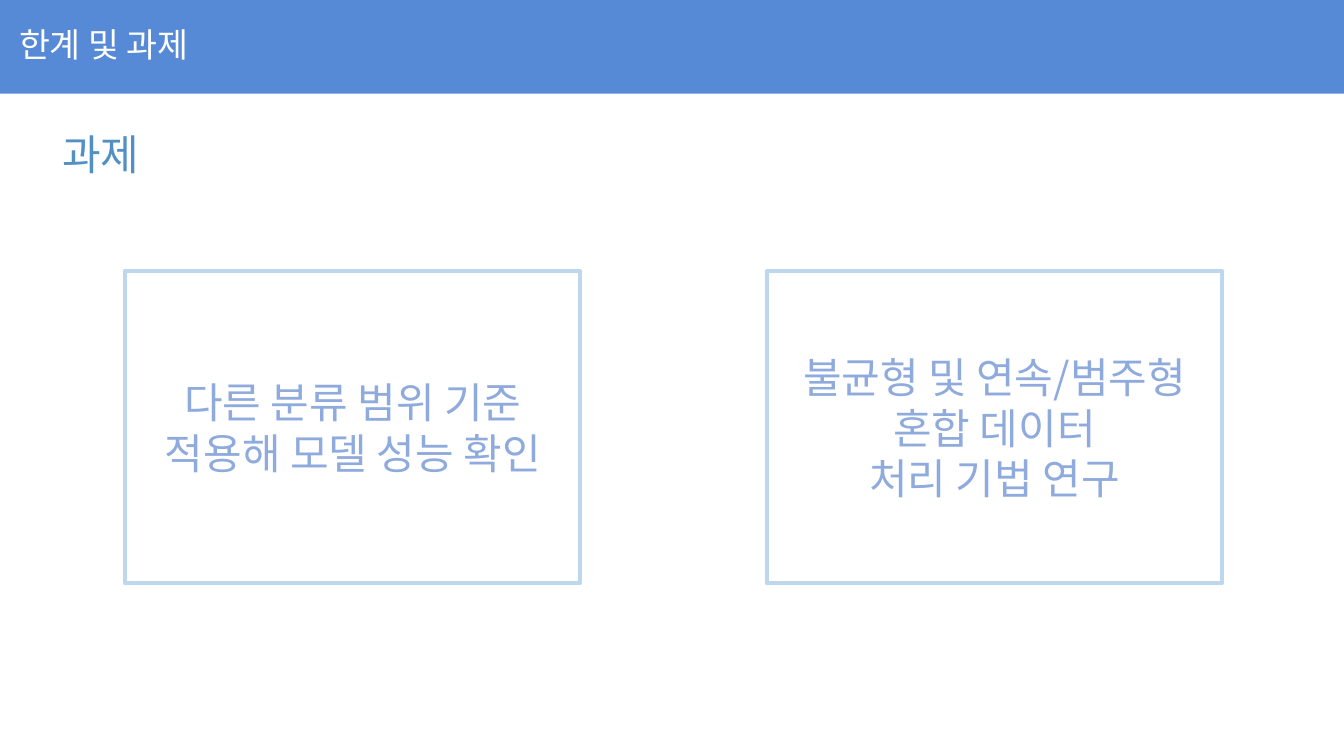
from lxml import etree
from pptx import Presentation
from pptx.dml.color import RGBColor
from pptx.enum import shapes, text
from pptx.oxml.ns import qn
from pptx.util import Cm, Pt

FONT = "Noto Sans CJK KR"
WHITE = RGBColor(0xFF, 0xFF, 0xFF)
HEADER_BLUE = RGBColor(0x57, 0x8A, 0xD6)
HEADING_BLUE = RGBColor(0x51, 0x90, 0xC5)
FRAME_BLUE = RGBColor(0xBD, 0xD7, 0xEE)
TASK_BLUE = RGBColor(0x8F, 0xAA, 0xDC)

FRAME_TOP, FRAME_WIDTH, FRAME_HEIGHT = 6.83, 11.46, 7.87

# Frame left; text left, top, width, height; paragraphs
TASKS = [
    (3.15, (3.51, 9.37, 10.77, 2.82),
     ["다른 분류 범위 기준 적용해 모델 성능 확인"]),
    (19.33, (19.63, 8.74, 10.87, 4.11),
     ["불균형 및 연속/범주형", "혼합 데이터", "처리 기법 연구"]),
]


def add_box(slide, left, top, width, height, fill=None, outline=None):
    box = slide.shapes.add_shape(
        shapes.MSO_SHAPE.RECTANGLE, Cm(left), Cm(top), Cm(width), Cm(height))
    box.shadow.inherit = False
    if fill is None:
        box.fill.background()
    else:
        box.fill.solid()
        box.fill.fore_color.rgb = fill
    if outline is None:
        box.line.fill.background()
    else:
        box.line.color.rgb = outline
        box.line.width = Pt(3)


def add_label(slide, place, lines, size, color, align=text.PP_ALIGN.LEFT):
    label = slide.shapes.add_textbox(*(Cm(length) for length in place))
    frame = label.text_frame
    frame.word_wrap = True
    frame.auto_size = text.MSO_AUTO_SIZE.SHAPE_TO_FIT_TEXT
    for index, line in enumerate(lines):
        paragraph = frame.add_paragraph() if index else frame.paragraphs[0]
        paragraph.alignment = align
        run = paragraph.add_run()
        run.text = line
        run.font.size = Pt(size)
        run.font.color.rgb = color
        run.font.name = FONT
        # Hangul takes its typeface from the East Asian font
        east_asian = etree.SubElement(run.font._element, qn("a:ea"))
        east_asian.set("typeface", FONT)


def main():
    deck = Presentation()
    deck.slide_width, deck.slide_height = Cm(33.87), Cm(19.05)
    slide = deck.slides.add_slide(deck.slide_layouts[6])

    # Header band and section heading
    add_box(slide, 0, 0, 33.87, 2.36, fill=HEADER_BLUE)
    add_label(slide, (0.23, 0.48, 8.28, 1.27), ["한계 및 과제"], 24, WHITE)
    add_label(slide, (1.32, 3.12, 10.24, 1.55), ["과제"], 30, HEADING_BLUE)

    # Framed tasks
    for frame_left, text_place, lines in TASKS:
        add_box(slide, frame_left, FRAME_TOP, FRAME_WIDTH, FRAME_HEIGHT,
                outline=FRAME_BLUE)
        add_label(slide, text_place, lines, 30, TASK_BLUE,
                  text.PP_ALIGN.CENTER)

    deck.save("out.pptx")


if __name__ == "__main__":
    main()
